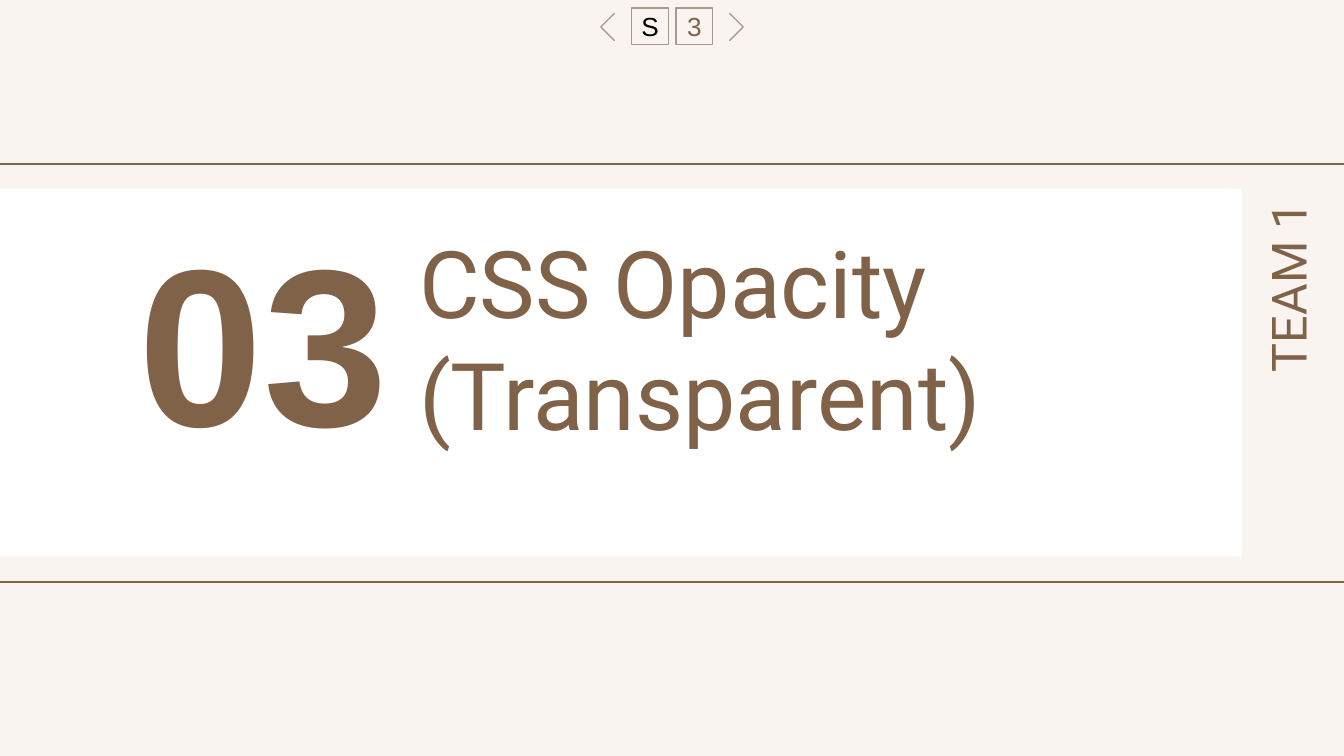
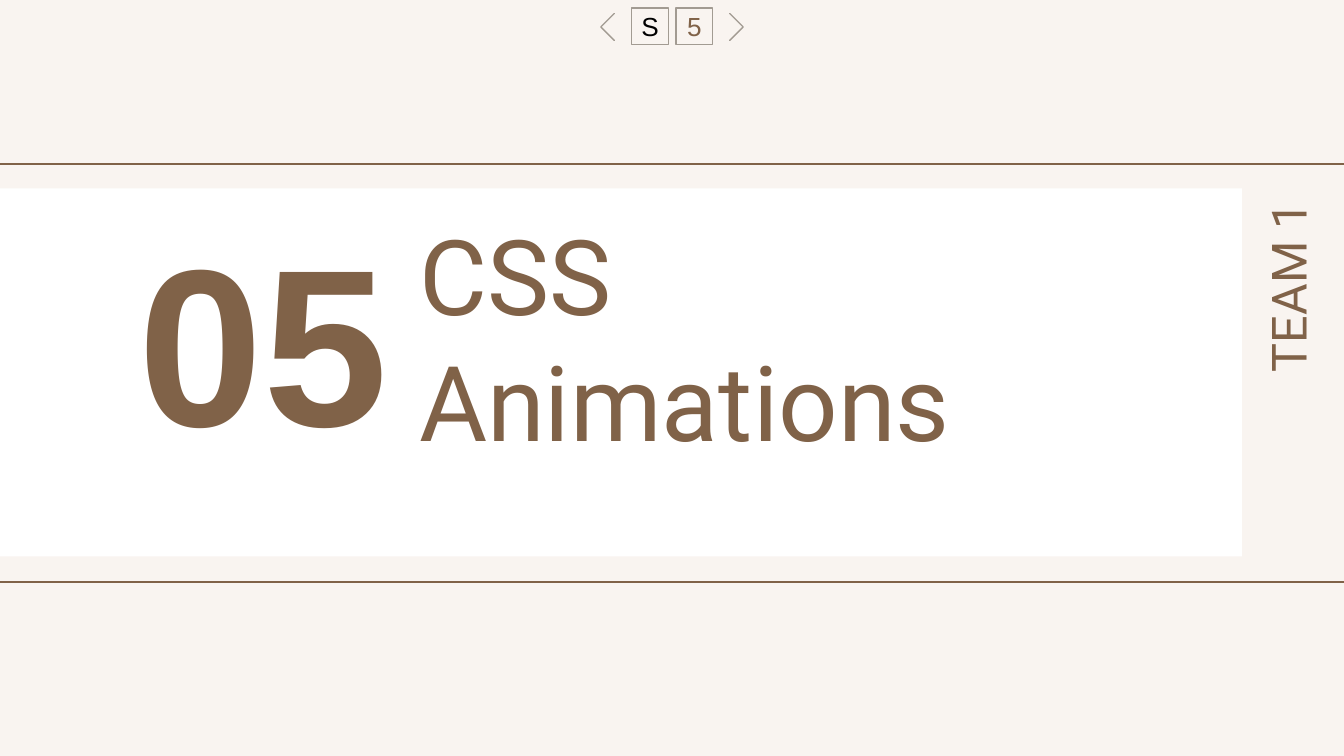
"""Builds two section slides on CSS topics."""
from pptx import Presentation
from pptx.dml.color import RGBColor
from pptx.enum.shapes import MSO_SHAPE
from pptx.enum.text import MSO_ANCHOR, MSO_AUTO_SIZE, PP_ALIGN
from pptx.util import Cm, Pt

COLORS = {"sand": "F9F4F0", "white": "FFFFFF", "brown": "806248",
          "gray": "A29B92", "black": "000000"}
TOPICS = [("3", "CSS Opacity (Transparent)", 50, 14.48),
          ("5", "CSS Animations", 56, 14.02)]
ROW, HIGH = 4.42, 3.89
SIDE, TOP = 0.69, 0.15
TIP = 0.36


def draw(slide, kind, at, fill=None, line=None):
    shape = slide.shapes.add_shape(kind, *[Cm(n) for n in at])
    shape.shadow.inherit = False
    for part, color in ((shape.fill, fill), (shape.line.fill, line)):
        if color:
            part.solid()
            part.fore_color.rgb = RGBColor.from_string(COLORS[color])
        else:
            part.background()
    if line:
        shape.line.width = Pt(0.75)
    return shape


def write(shape, text, size, font, color="brown", align=PP_ALIGN.LEFT, pad=0.25, bold=False):
    frame = shape.text_frame
    frame.word_wrap = True
    frame.auto_size = MSO_AUTO_SIZE.NONE
    frame.vertical_anchor = MSO_ANCHOR.MIDDLE
    frame.margin_left = frame.margin_right = Cm(pad)
    frame.margin_top = frame.margin_bottom = Cm(0.25)
    line = frame.paragraphs[0]
    line.alignment = align
    run = line.add_run()
    run.text = text
    run.font.size = Pt(size)
    run.font.name = font
    run.font.bold = bold
    run.font.color.rgb = RGBColor.from_string(COLORS[color])


deck = Presentation()
deck.slide_width, deck.slide_height = Cm(25.4), Cm(14.29)
back = deck.slide_master.background.fill
back.solid()
back.fore_color.rgb = RGBColor.from_string(COLORS["sand"])

for digit, topic, size, wide in TOPICS:
    slide = deck.slides.add_slide(deck.slide_layouts[5])
    draw(slide, MSO_SHAPE.RECTANGLE, (-0.13, 3.56, 23.6, 6.96), fill="white")
    draw(slide, MSO_SHAPE.RECTANGLE, (-2.03, 3.1, 30.23, 7.9), line="brown")

    title = slide.shapes.title
    title.left, title.top, title.width, title.height = Cm(7.67), Cm(ROW), Cm(wide), Cm(HIGH)
    write(title, topic, size, "Roboto")
    slide.shapes._spTree.append(title._element)

    number = slide.shapes.add_textbox(Cm(1.98), Cm(ROW), Cm(5.99), Cm(HIGH))
    write(number, "0" + digit, 120, "Arial", align=PP_ALIGN.CENTER, bold=True)

    for left, sign, color in ((11.94, "S", "black"), (12.78, digit, "brown")):
        box = draw(slide, MSO_SHAPE.RECTANGLE, (left, TOP, SIDE, SIDE), line="gray")
        write(box, sign, 14, "Arial", color, PP_ALIGN.CENTER, pad=0)

    for left, turn in ((11.43, 315), (13.61, 135)):
        arrow = draw(slide, MSO_SHAPE.HALF_FRAME, (left, 0.33, TIP, TIP), "brown", "gray")
        arrow.adjustments[0] = arrow.adjustments[1] = 0
        arrow.rotation = turn

    team = slide.shapes.add_textbox(Cm(22.02), Cm(4.95), Cm(4.62), Cm(1.85))
    team.rotation = 270
    write(team, "TEAM 1", 26, "Roboto", align=PP_ALIGN.RIGHT)

deck.save("out.pptx")
